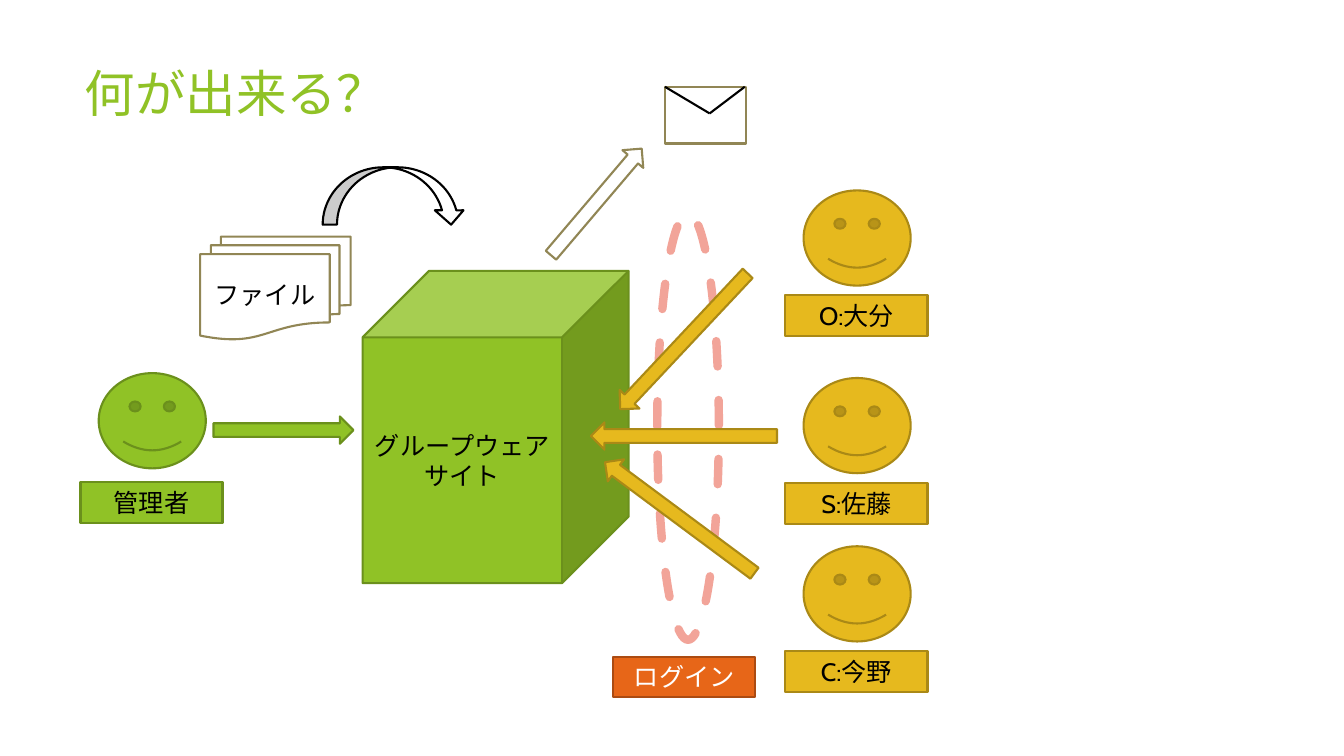
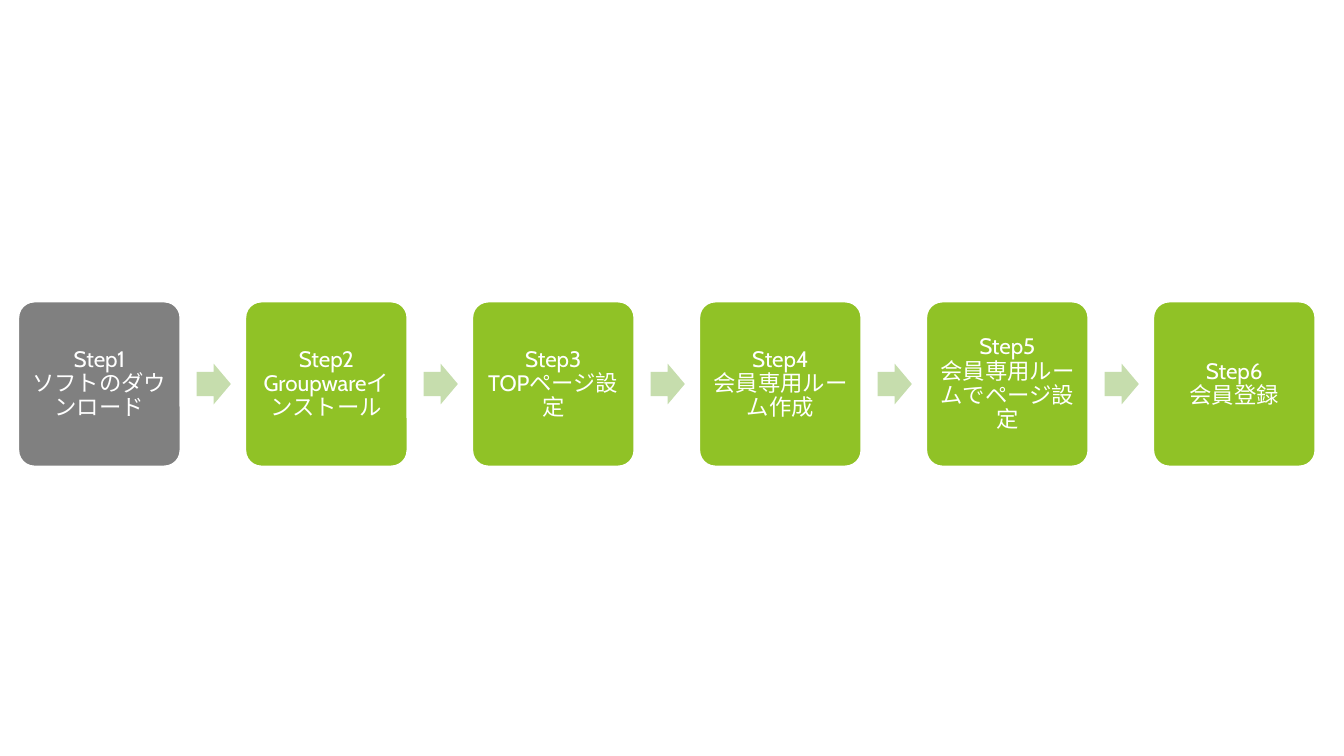
from lxml import etree
from pptx import Presentation
from pptx.dml.color import RGBColor
from pptx.enum import dml, shapes, text
from pptx.oxml.ns import qn
from pptx.util import Pt

FONT = "Cabin"
BLACK = RGBColor(0x00, 0x00, 0x00)
WHITE = RGBColor(0xFF, 0xFF, 0xFF)
GRAY = RGBColor(0x80, 0x80, 0x80)
GREEN = RGBColor(0x90, 0xC2, 0x26)
GREEN_EDGE = RGBColor(0x6B, 0x90, 0x1C)
PALE_GREEN = RGBColor(0xC6, 0xDD, 0xAD)
GOLD = RGBColor(0xE6, 0xB9, 0x1E)
GOLD_EDGE = RGBColor(0xAA, 0x89, 0x16)
OLIVE = RGBColor(0x91, 0x86, 0x55)
ORANGE = RGBColor(0xE7, 0x66, 0x18)
ORANGE_EDGE = RGBColor(0xAB, 0x4B, 0x12)
PINK = RGBColor(0xF2, 0xA4, 0x99)

GREENS = (GREEN, GREEN_EDGE)
GOLDS = (GOLD, GOLD_EDGE)
ORANGES = (ORANGE, ORANGE_EDGE)
PAPER = (WHITE, OLIVE)
SHAPE = shapes.MSO_SHAPE


def write(sp, *lines, size=18, color=BLACK, align=text.PP_ALIGN.CENTER,
          anchor=text.MSO_ANCHOR.MIDDLE, spacing=None, inset=None):
    tf = sp.text_frame
    tf.word_wrap = True
    tf.vertical_anchor = anchor
    if inset is not None:
        tf.margin_left = tf.margin_right = Pt(inset)
        tf.margin_top = tf.margin_bottom = Pt(inset)
    for i, line in enumerate(lines):
        p = tf.add_paragraph() if i else tf.paragraphs[0]
        p.alignment = align
        p.line_spacing = spacing
        r = p.add_run()
        r.text = line
        r.font.name = FONT
        r.font.size = Pt(size)
        r.font.color.rgb = color


def draw(slide, kind, box, colors, rotation=0, weight=1.5, adj=()):
    fill, edge = colors
    sp = slide.shapes.add_shape(kind, *map(Pt, box))
    sp.shadow.inherit = False
    sp.rotation = rotation
    for i, value in enumerate(adj):
        sp.adjustments[i] = value
    if fill is None:
        sp.fill.background()
    else:
        sp.fill.solid()
        sp.fill.fore_color.rgb = fill
    if edge is None:
        sp.line.fill.background()
    else:
        sp.line.color.rgb = edge
        sp.line.width = Pt(weight)
    return sp


def add_title(slide, box, title):
    sp = slide.shapes.add_textbox(*map(Pt, box))
    write(sp, title, size=36, color=GREEN, align=text.PP_ALIGN.LEFT,
          anchor=text.MSO_ANCHOR.TOP)


def add_label(slide, box, caption, colors, color=BLACK):
    write(draw(slide, SHAPE.RECTANGLE, box, colors), caption, color=color)


def add_person(slide, box, caption, colors):
    x, y, w, h = box
    draw(slide, SHAPE.SMILEY_FACE, (x + 13, y, w - 25, 68), colors)
    add_label(slide, (x, y + h - 29, w, 29), caption, colors)


def add_envelope(slide, box):
    x, y, w, h = box
    draw(slide, SHAPE.RECTANGLE, box, PAPER)
    tip = (x + w * 0.55, y + h * 0.47)
    for corner in ((x, y), (x + w - 1, y)):
        cn = slide.shapes.add_connector(
            shapes.MSO_CONNECTOR.STRAIGHT, *map(Pt, corner + tip))
        cn.line.color.rgb = BLACK
        cn.line.width = Pt(1.5)
        etree.SubElement(cn._element.spPr, qn("a:effectLst"))


def add_login_gate(slide, box):
    sp = draw(slide, SHAPE.OVAL, box, (None, PINK), weight=6)
    sp.line.dash_style = dml.MSO_LINE.DASH
    sp._element.spPr.find(qn("a:ln")).set("cap", "rnd")


def add_step(slide, box, lines, fill):
    sp = draw(slide, SHAPE.ROUNDED_RECTANGLE, box, (fill, WHITE), adj=[0.1])
    write(sp, *lines, size=16, color=WHITE, spacing=0.9, inset=2)


def overview_slide(slide):
    add_login_gate(slide, (469.5, 152.5, 44, 304.5))
    add_title(slide, (53.5, 40.5, 677, 103.5), "何が出来る？")
    cube = draw(slide, SHAPE.CUBE, (259, 193.5, 190, 223), GREENS)
    write(cube, "グループウェアサイト")

    add_person(slide, (57.5, 266.5, 101.5, 107), "管理者", GREENS)
    for y, name in ((136, "O:大分"), (270, "S:佐藤"), (390.2, "C:今野")):
        add_person(slide, (561, y, 101.5, 104), name, GOLDS)

    files = draw(slide, SHAPE.FLOWCHART_MULTIDOCUMENT,
                 (143, 169, 107.5, 73.5), PAPER)
    write(files, "ファイル")
    add_envelope(slide, (475, 62, 58, 40.5))
    draw(slide, SHAPE.CURVED_DOWN_ARROW, (230.5, 119.5, 102, 41),
         (WHITE, BLACK))

    for x, y, length, rotation, colors in (
            (376, 134.5, 100, 310.4, PAPER),
            (152.5, 297.5, 100, 0, GREENS),
            (422, 301.7, 133, 180, GOLDS),
            (419, 360, 133, 216.6, GOLDS),
            (422, 234, 133, 133.2, GOLDS)):
        draw(slide, SHAPE.RIGHT_ARROW, (x, y, length, 19.5), colors, rotation)
    add_label(slide, (438, 469, 101.5, 29), "ログイン", ORANGES, WHITE)


def steps_slide(slide, box):
    x, y, w, h = box
    names = ("ソフトのダウンロード", "Groupwareインストール", "TOPページ設定",
             "会員専用ルーム作成", "会員専用ルームでページ設定", "会員登録")
    step_w = 116
    pitch = (w - step_w) / (len(names) - 1)
    for i, name in enumerate(names):
        left = x + i * pitch
        if i:
            draw(slide, SHAPE.RIGHT_ARROW,
                 (left - 34.7, y + h / 2 - 14.5, 24.5, 29),
                 (PALE_GREEN, None), adj=[0.6, 0.5])
        add_step(slide, (left, y, step_w, h), (f"Step{i + 1}", name),
                 GREEN if i else GRAY)


def main():
    prs = Presentation()
    prs.slide_width, prs.slide_height = Pt(960), Pt(540)
    blank = prs.slide_layouts[6]
    overview_slide(prs.slides.add_slide(blank))
    steps_slide(prs.slides.add_slide(blank), (13, 215.3, 926.7, 118))
    prs.save("out.pptx")


if __name__ == "__main__":
    main()
